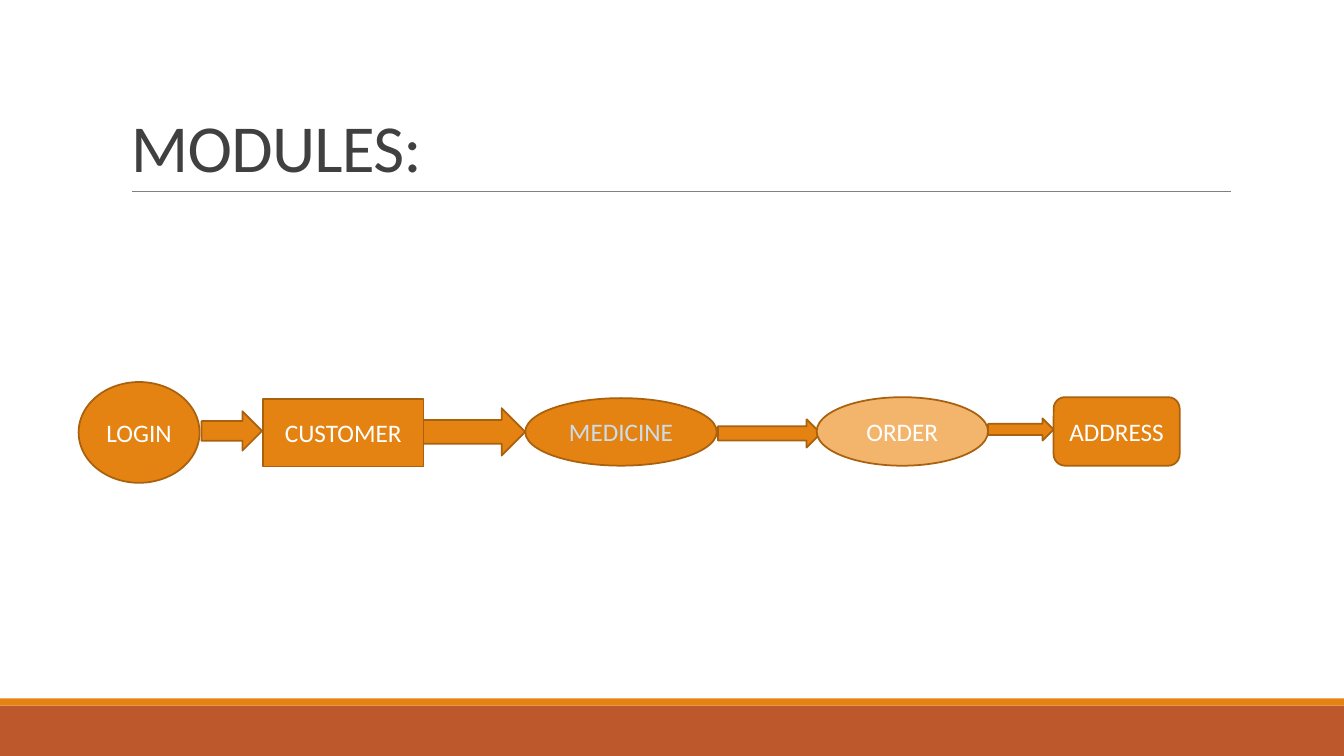
"""Build the MODULES slide: five modules joined by block arrows."""
import pptx
import pptx.dml.color
import pptx.enum.shapes
import pptx.enum.text
import pptx.util
from lxml import etree
from pptx.oxml.ns import qn

Inches = pptx.util.Inches
Pt = pptx.util.Pt
SHAPE = pptx.enum.shapes.MSO_SHAPE
ANCHOR = pptx.enum.text.MSO_ANCHOR
ALIGN = pptx.enum.text.PP_ALIGN

FONT = "Calibri"
ORANGE, OUTLINE, WHITE = "E48312", "A9610D", "FFFFFF"
TITLE = "MODULES:"
BANDS = [((0, 7, 13.33, 0.5), "BD582C"), ((0, 6.93, 13.33, 0.07), ORANGE)]
ARROWS = [
    (2, 4.08, 0.6, 0.39),
    (4.19, 4.05, 1.02, 0.47),
    (7.12, 4.16, 1.02, 0.28),
    (9.8, 4.15, 0.65, 0.22),
]
MODULES = [
    ("LOGIN", SHAPE.OVAL, (0.78, 3.79, 1.2, 1), ORANGE, WHITE),
    ("CUSTOMER", SHAPE.RECTANGLE, (2.61, 3.96, 1.59, 0.67), ORANGE, WHITE),
    ("MEDICINE", SHAPE.OVAL, (5.21, 3.95, 1.9, 0.67), ORANGE, "CCDDEA"),
    ("ORDER", SHAPE.OVAL, (8.1, 3.94, 1.7, 0.68), "F3B56C", WHITE),
    ("ADDRESS", SHAPE.ROUNDED_RECTANGLE, (10.45, 3.94, 1.25, 0.68), ORANGE, WHITE),
]


def color(value):
    return pptx.dml.color.RGBColor.from_string(value)


def add_block(page, kind, place, fill, outline=None):
    shape = page.shapes.add_shape(kind, *map(Inches, place))
    shape.shadow.inherit = False
    shape.fill.solid()
    shape.fill.fore_color.rgb = color(fill)
    if outline:
        shape.line.color.rgb = color(outline)
        shape.line.width = Pt(1.25)
    else:
        shape.line.fill.background()
    return shape


def write(shape, text, size, ink, anchor, align):
    frame = shape.text_frame
    frame.text = text
    frame.word_wrap = True
    frame.vertical_anchor = anchor
    para = frame.paragraphs[0]
    para.alignment = align
    span = para.runs[0]
    span.font.name = FONT
    span.font.size = Pt(size)
    span.font.color.rgb = color(ink)
    return para


def add_title(page):
    box = page.shapes.add_textbox(*map(Inches, (1.2, 0.31, 11, 1.59)))
    para = write(box, TITLE, 48, "404040", ANCHOR.BOTTOM, ALIGN.LEFT)
    para.line_spacing = 0.85
    para.runs[0].font._element.set("spc", "-50")


def add_rule(page):
    rule = page.shapes.add_connector(
        pptx.enum.shapes.MSO_CONNECTOR.STRAIGHT, *map(Inches, (1.31, 1.9, 12.21, 1.9))
    )
    rule.line.color.rgb = color("808080")
    rule.line.width = Pt(0.5)
    etree.SubElement(rule._element.spPr, qn("a:effectLst"))


def main():
    deck = pptx.Presentation()
    deck.slide_width, deck.slide_height = Inches(13.33), Inches(7.5)
    page = deck.slides.add_slide(deck.slide_layouts[6])
    for place, fill in BANDS:
        add_block(page, SHAPE.RECTANGLE, place, fill)
    add_rule(page)
    add_title(page)
    for place in ARROWS:
        add_block(page, SHAPE.RIGHT_ARROW, place, ORANGE, OUTLINE)
    for name, kind, place, fill, ink in MODULES:
        module = add_block(page, kind, place, fill, OUTLINE)
        write(module, name, 18, ink, ANCHOR.MIDDLE, ALIGN.CENTER)
    deck.save("out.pptx")


if __name__ == "__main__":
    main()
